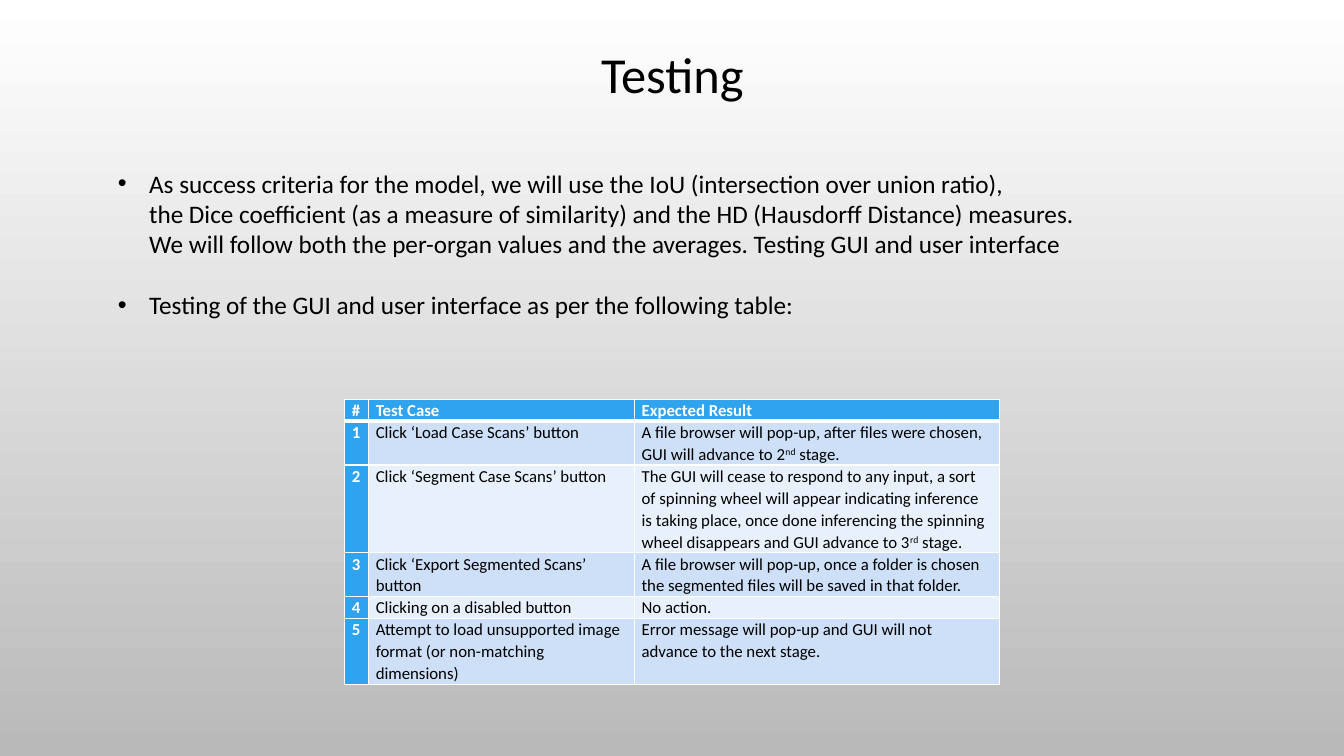
from lxml.etree import SubElement
from pptx import Presentation
from pptx.dml.color import RGBColor
from pptx.enum.text import MSO_ANCHOR, MSO_AUTO_SIZE, PP_ALIGN
from pptx.oxml import parse_xml
from pptx.oxml.ns import nsdecls, qn
from pptx.util import Cm, Pt

FONT = "Calibri"
BLACK, WHITE = "000000", "FFFFFF"
HEADER_BLUE, BAND_DARK, BAND_LIGHT = "2FA3EE", "CDE0F8", "E8F0FC"

CRITERIA = [
    "As success criteria for the model, we will use the IoU (intersection over union ratio),\n"
    "the Dice coefficient (as a measure of similarity) and the HD (Hausdorff Distance) measures.\n"
    "We will follow both the per-organ values and the averages. Testing GUI and user interface",
    "Testing of the GUI and user interface as per the following table:",
]

# Text between carets is superscript
TEST_CASES = [
    ("#", "Test Case", "Expected Result"),
    ("1", "Click ‘Load Case Scans’ button",
     "A file browser will pop-up, after files were chosen, GUI will advance to 2^nd^ stage."),
    ("2", "Click ‘Segment Case Scans’ button",
     "The GUI will cease to respond to any input, a sort of spinning wheel will appear "
     "indicating inference is taking place, once done inferencing the spinning wheel "
     "disappears and GUI advance to 3^rd^ stage."),
    ("3", "Click ‘Export Segmented Scans’ button",
     "A file browser will pop-up, once a folder is chosen the segmented files will be "
     "saved in that folder."),
    ("4", "Clicking on a disabled button", "No action."),
    ("5", "Attempt to load unsupported image format (or non-matching dimensions)",
     "Error message will pop-up and GUI will not advance to the next stage."),
]
COLUMN_WIDTHS = (0.6, 6.7, 9.2)
LINES_PER_ROW = (1, 2, 4, 2, 1, 3)
LINE_HEIGHT = 0.55


def rgb(hex_colour):
    return RGBColor.from_string(hex_colour)


def format_runs(paragraph, size, colour, bold=False):
    for run in paragraph.runs:
        run.font.name = FONT
        run.font.size = Pt(size)
        run.font.bold = bold
        run.font.color.rgb = rgb(colour)


def set_background(slide):
    fill = slide.background.fill
    fill.gradient()
    fill.gradient_angle = 270
    for stop, colour in zip(fill.gradient_stops, (WHITE, "B9B9B9")):
        stop.color.rgb = rgb(colour)


def set_title(slide, wording):
    title = slide.shapes.title
    title.left, title.top, title.width, title.height = Cm(10.85), Cm(0.66), Cm(12.19), Cm(2.57)
    frame = title.text_frame
    frame.text = wording
    frame.auto_size = MSO_AUTO_SIZE.NONE
    frame.vertical_anchor = MSO_ANCHOR.MIDDLE
    heading = frame.paragraphs[0]
    heading.alignment = PP_ALIGN.CENTER
    heading.line_spacing = 0.9
    format_runs(heading, 36, BLACK)


def add_bullets(slide, items):
    frame = slide.shapes.add_textbox(Cm(2.72), Cm(4.11), Cm(28.78), Cm(4.11)).text_frame
    frame.word_wrap = True
    for index, item in enumerate(items):
        bullet = frame.add_paragraph() if index else frame.paragraphs[0]
        bullet.text = item
        bullet.space_before = Pt(22 if index else 0)
        format_runs(bullet, 18, BLACK)
        properties = bullet._p.get_or_add_pPr()
        properties.set("marL", str(Cm(0.79)))
        properties.set("indent", str(-Cm(0.79)))
        SubElement(properties, qn("a:buFont"), typeface="Arial")
        SubElement(properties, qn("a:buChar"), char="•")


def set_borders(cell, top, bottom):
    widths = {"lnL": 1, "lnR": 1, "lnT": top, "lnB": bottom}
    properties = cell._tc.get_or_add_tcPr()
    for position, (side, width) in enumerate(widths.items()):
        properties.insert(position, parse_xml(
            f'<a:{side} {nsdecls("a")} w="{Pt(width)}"><a:solidFill>'
            f'<a:srgbClr val="{WHITE}"/></a:solidFill></a:{side}>'))


def fill_cell(cell, wording, background, emphasised):
    cell.margin_left = cell.margin_right = Cm(0.18)
    cell.margin_top = cell.margin_bottom = 0
    cell.fill.solid()
    cell.fill.fore_color.rgb = rgb(background)
    paragraph = cell.text_frame.paragraphs[0]
    paragraph.line_spacing = 1.07
    for index, part in enumerate(wording.split("^")):
        run = paragraph.add_run()
        run.text = part
        if index % 2:
            run._r.get_or_add_rPr().set("baseline", "30000")
    format_runs(paragraph, 12, WHITE if emphasised else BLACK, emphasised)


def add_test_table(slide, rows):
    table = slide.shapes.add_table(
        len(rows), len(COLUMN_WIDTHS), Cm(8.69), Cm(10.06),
        Cm(sum(COLUMN_WIDTHS)), Cm(LINE_HEIGHT * sum(LINES_PER_ROW))).table
    table.horz_banding = False
    for column, width in zip(table.columns, COLUMN_WIDTHS):
        column.width = Cm(width)
    for r, (row, lines) in enumerate(zip(rows, LINES_PER_ROW)):
        table.rows[r].height = Cm(LINE_HEIGHT * lines)
        band = BAND_DARK if r % 2 else BAND_LIGHT
        for c, wording in enumerate(row):
            cell = table.cell(r, c)
            emphasised = r == 0 or c == 0
            fill_cell(cell, wording, HEADER_BLUE if emphasised else band, emphasised)
            set_borders(cell, top=3 if r == 1 else 1, bottom=3 if r == 0 else 1)


def main():
    presentation = Presentation()
    presentation.slide_width, presentation.slide_height = Cm(33.87), Cm(19.05)
    slide = presentation.slides.add_slide(presentation.slide_layouts[5])
    set_background(slide)
    set_title(slide, "Testing")
    add_test_table(slide, TEST_CASES)
    add_bullets(slide, CRITERIA)
    presentation.save("out.pptx")


if __name__ == "__main__":
    main()
